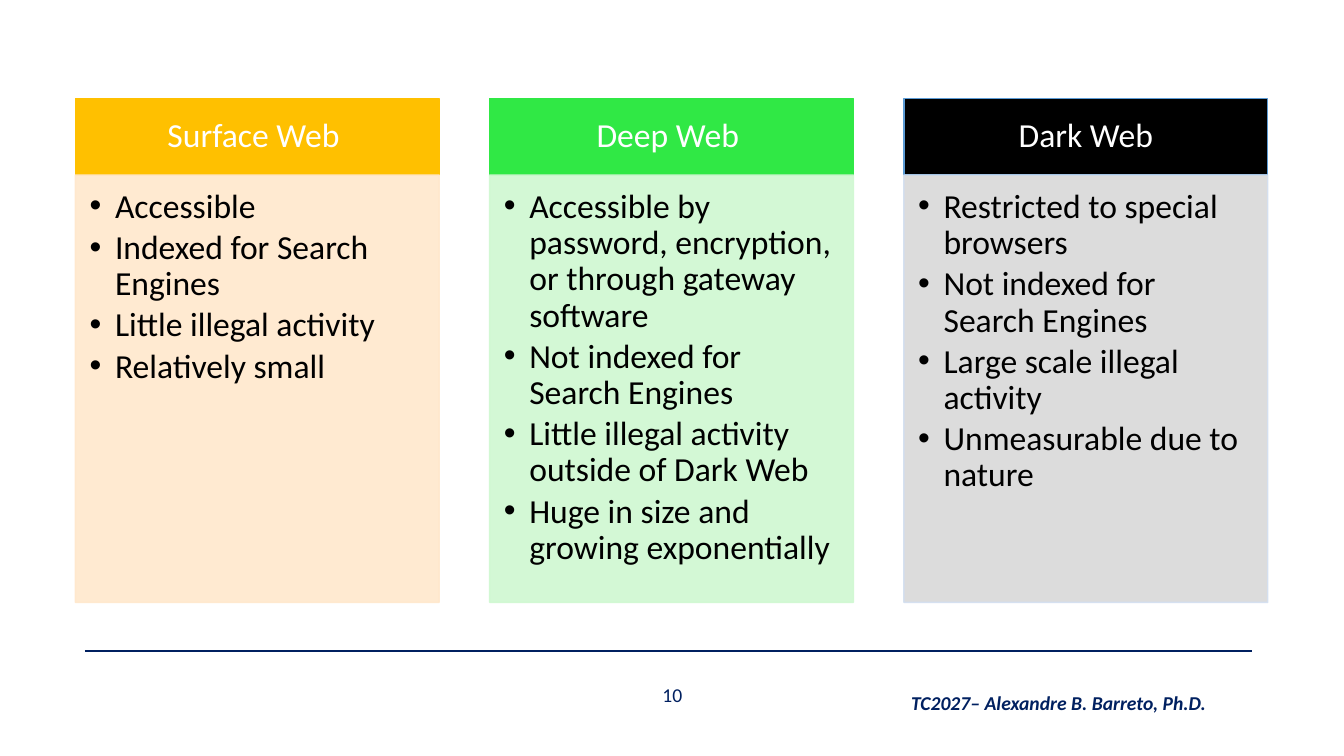
from pptx import Presentation
from pptx.dml.color import RGBColor
from pptx.enum.shapes import MSO_CONNECTOR, MSO_SHAPE
from pptx.enum.text import MSO_ANCHOR, PP_ALIGN
from pptx.oxml.ns import qn
from pptx.util import Cm, Pt
from lxml.etree import SubElement


def paint(color_format, color, opacity=100):
    color_format.rgb = RGBColor.from_string(color)
    if opacity < 100:
        for srgb in color_format._xFill.iter(qn("a:srgbClr")):
            SubElement(srgb, qn("a:alpha")).set("val", str(opacity * 1000))


def write(frame, text, color, size=24, align=PP_ALIGN.CENTER, anchor=MSO_ANCHOR.MIDDLE,
          margins=(0.48, 0.28, 0.48, 0.28), bullet=False, spacing=0.9, after=0,
          bold=False, italic=False):
    frame.word_wrap = True
    frame.vertical_anchor = anchor
    frame.margin_left, frame.margin_top, frame.margin_right, frame.margin_bottom = map(Cm, margins)
    for index, line in enumerate(text.split("\n")):
        paragraph = frame.add_paragraph() if index else frame.paragraphs[0]
        paragraph.text = line
        paragraph.alignment = align
        paragraph.line_spacing = spacing
        paragraph.space_after = Pt(after)
        if bullet:
            properties = paragraph._p.get_or_add_pPr()
            properties.set("marL", str(Cm(0.64)))
            properties.set("indent", str(-Cm(0.64)))
            SubElement(properties, qn("a:buFont")).set("typeface", "Arial")
            SubElement(properties, qn("a:buChar")).set("char", "•")
        font = paragraph.font
        font.name, font.size = "Calibri", Pt(size)
        font.bold, font.italic = bold, italic
        paint(font.color, color)


deck = Presentation()
deck.slide_width, deck.slide_height = Cm(33.87), Cm(19.05)
slide = deck.slides.add_slide(deck.slide_layouts[6])
shapes = slide.shapes

footer_rule = shapes.add_connector(MSO_CONNECTOR.STRAIGHT, Cm(2.14), Cm(16.41), Cm(31.55), Cm(16.41))
paint(footer_rule.line.color, "002060")
footer_rule.line.width = Pt(1.5)
SubElement(footer_rule._element.spPr, qn("a:effectLst"))

page_number = shapes.add_textbox(Cm(14.76), Cm(17.25), Cm(4.37), Cm(0.51))
write(page_number.text_frame, "10", "002060", size=14, margins=(0, 0, 0, 0), spacing=1)

course_author = shapes.add_textbox(Cm(22.02), Cm(17.27), Cm(9.32), Cm(0.86))
write(course_author.text_frame, "TC2027– Alexandre B. Barreto, Ph.D.", "002060", size=14,
      margins=(0.25, 0.13, 0.25, 0.13), spacing=1, bold=True, italic=True)

webs = [
    ("Surface Web ", "FFC000", "FFC000", "FFE8CC", "FFE8CC",
     "Accessible\nIndexed for Search Engines\nLittle illegal activity\nRelatively small"),
    ("Deep Web ", "30E845", "30E845", "CFF8D1", "CFF8D1",
     "Accessible by password, encryption, or through gateway software\n"
     "Not indexed for Search Engines\nLittle illegal activity outside of Dark Web\n"
     "Huge in size and growing exponentially"),
    ("Dark Web", "000000", "5B9BD5", "D9D9D9", "D2DFF0",
     "Restricted to special browsers\nNot indexed for Search Engines\n"
     "Large scale illegal activity\nUnmeasurable due to nature"),
]
header_format = dict(color="FFFFFF")
traits_format = dict(color="000000", align=PP_ALIGN.LEFT, anchor=MSO_ANCHOR.TOP,
                     margins=(0.36, 0.36, 0.48, 0.53), bullet=True, after=3.5)

for column, (web, header_fill, header_line, body_fill, body_line, traits) in enumerate(webs):
    left = Cm(1.9 + 10.44 * column)
    for top, height, fill, outline, opacity, text, text_format in (
        (2.49, 1.92, header_fill, header_line, 100, web, header_format),
        (4.41, 10.77, body_fill, body_line, 90, traits, traits_format),
    ):
        panel = shapes.add_shape(MSO_SHAPE.RECTANGLE, left, Cm(top), Cm(9.17), Cm(height))
        panel.shadow.inherit = False
        panel.fill.solid()
        paint(panel.fill.fore_color, fill, opacity)
        paint(panel.line.color, outline, opacity)
        panel.line.width = Pt(1)
        write(panel.text_frame, text, **text_format)

deck.save("out.pptx")
